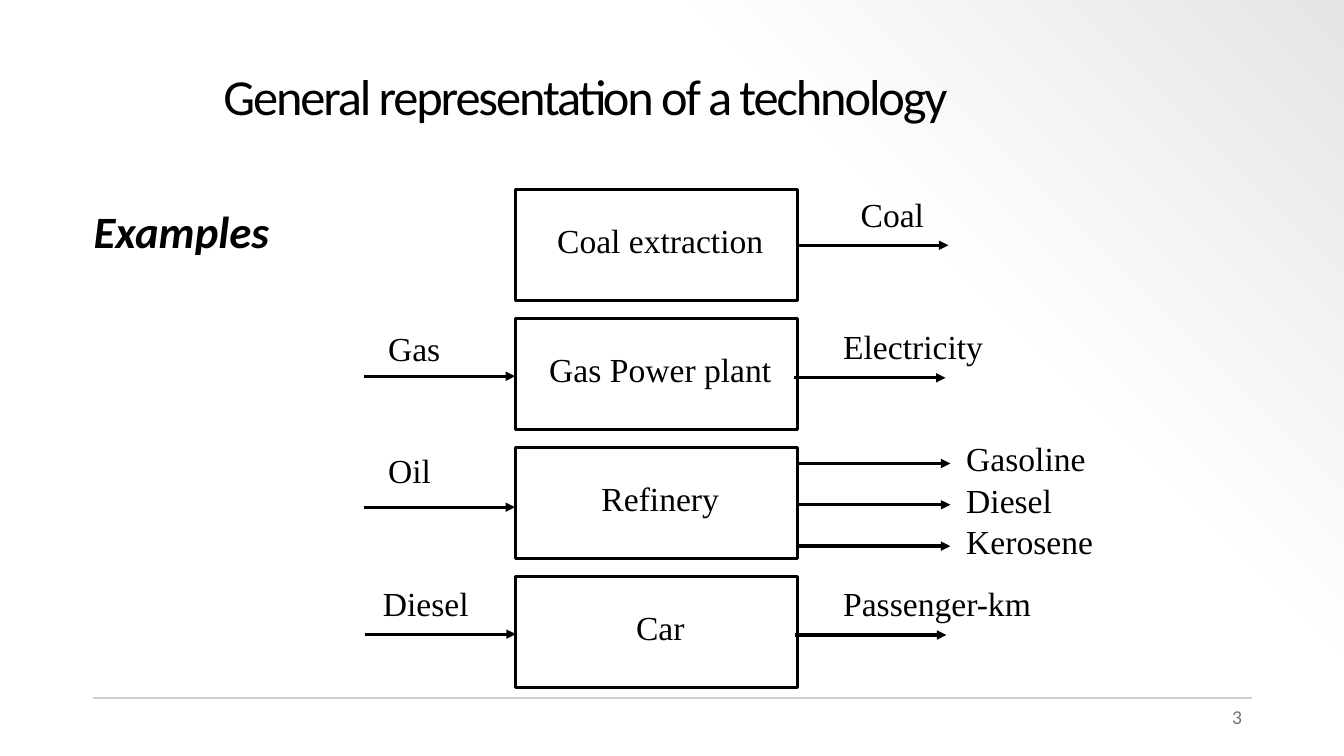
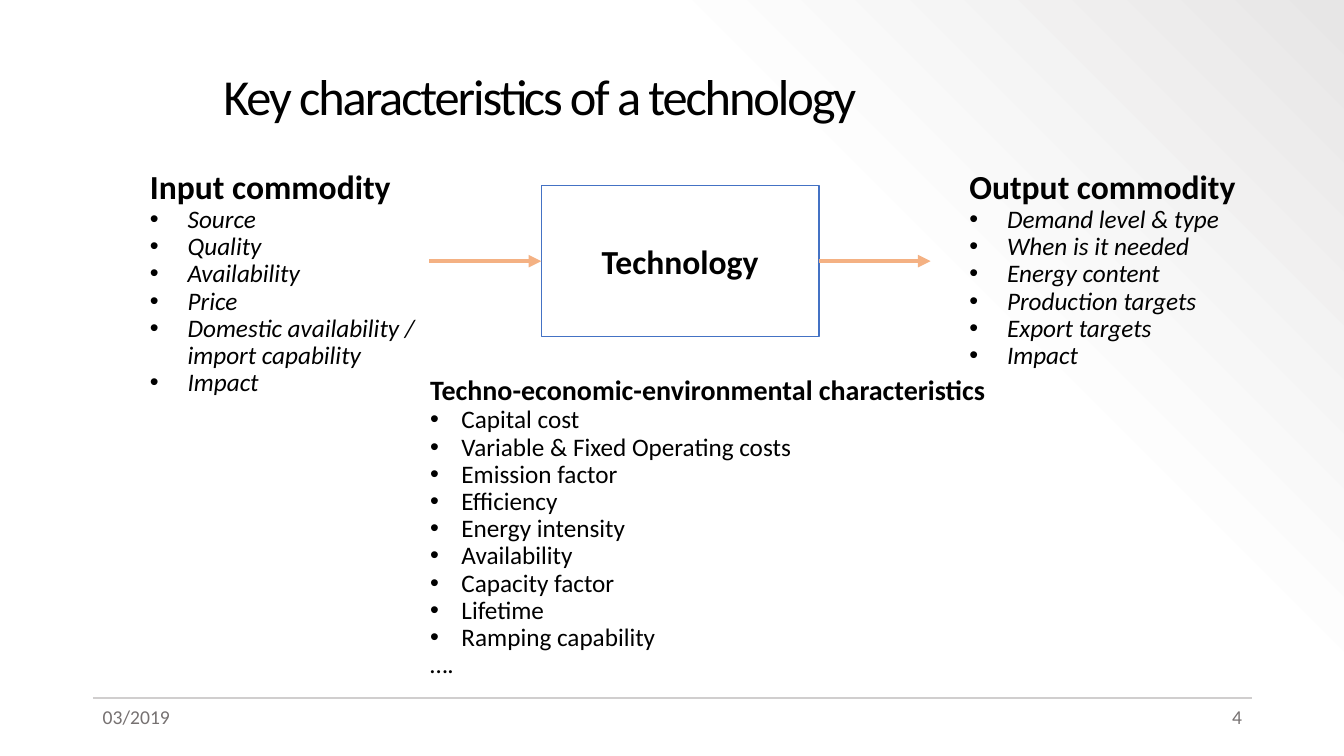
"""Build two slides on how a technology is represented and characterised."""
from dataclasses import dataclass, field
from typing import Any

from lxml import etree
from pptx import Presentation
from pptx import util as u
from pptx.dml import color as dml
from pptx.enum import shapes, text
from pptx.oxml import ns

COLOURS = {
    "ink": "000000", "muted": "767171", "rule": "D0CECE", "paper": "FFFFFF",
    "near_white": "FDFDFD", "corner": "E7E6E6", "outline": "4472C4", "flow": "F4B183",
}
SANS, SERIF = "Calibri", "Times New Roman"
TITLE = {"name": SANS, "size": u.Pt(36)}
EXAMPLES = {"name": SANS, "size": u.Pt(32), "bold": True, "italic": True}
HEADING = {"name": SANS, "size": u.Pt(24), "bold": True}
SUBHEADING = {"name": SANS, "size": u.Pt(20), "bold": True}
ITEM = {"name": SANS, "size": u.Pt(18)}
ITALIC_ITEM = {**ITEM, "italic": True}
LABEL = {"name": SERIF, "size": u.Pt(24)}
FOOTER = {"name": SANS, "size": u.Pt(14)}

BOX_LEFT, BOX_WIDTH, BOX_HEIGHT = 13, 7.1, 2.8
FIRST_ROW, ROW_STEP = 4.78, 3.25
ARROW_LENGTH = 3.81


@dataclass
class Area:
    """Position and size in centimetres."""
    left: float
    top: float
    width: float
    height: float

    def lengths(self) -> list[u.Cm]:
        """Return the four values as lengths."""
        return [u.Cm(value) for value in (self.left, self.top, self.width, self.height)]


@dataclass
class Flow:
    """A labelled arrow, placed relative to the top of its row."""
    label: str
    label_left: float
    label_rise: float
    arrow_left: float
    arrow_drop: float = 1.45
    label_width: float = 5.5


@dataclass
class Process:
    """A technology box with its flows."""
    name: str
    flows: list[Flow]


@dataclass
class Listing:
    """A heading over a bulleted list."""
    area: Area
    heading: str
    items: list[str]
    heading_format: dict[str, Any] = field(default_factory=lambda: HEADING)
    item_format: dict[str, Any] = field(default_factory=lambda: ITALIC_ITEM)
    indent: float = 0.95
    closing: str = ""


PROCESSES = [
    Process("Coal extraction", [Flow("Coal", 21.44, -0.03, 20.09, 1.4)]),
    Process("Gas Power plant", [
        Flow("Gas", 9.53, 0.1, 9.17, label_width=3.6),
        Flow("Electricity", 21, 0.05, 20.02, 1.49),
    ]),
    Process("Refinery", [
        Flow("Oil", 9.53, -0.08, 9.17, 1.5, 3.6),
        Flow("Gasoline", 24.1, -0.38, 20.14, 0.4),
        Flow("Diesel", 24.1, 0.7, 20.14, 1.44),
        Flow("Kerosene", 24.1, 1.72, 20.14, 2.48),
    ]),
    Process("Car", [
        Flow("Diesel", 9.4, 0.03, 9.19, label_width=3.6),
        Flow("Passenger-km", 21, 0.03, 20.04, 1.47),
    ]),
]

LISTINGS = [
    Listing(Area(24.18, 4.17, 8.92, 6.73), "Output commodity", [
        "Demand level & type", "When is it needed", "Energy content",
        "Production targets", "Export targets", "Impact",
    ]),
    Listing(Area(3.53, 4.17, 8.66, 6.02), "Input commodity", [
        "Source", "Quality", "Availability", "Price",
        "Domestic availability / import capability", "Impact",
    ]),
    Listing(Area(10.59, 9.37, 16.54, 8.64), "Techno-economic-environmental characteristics", [
        "Capital cost", "Variable & Fixed Operating costs", "Emission factor",
        "Efficiency", "Energy intensity", "Availability", "Capacity factor",
        "Lifetime", "Ramping capability",
    ], SUBHEADING, ITEM, 0.79, "…."),
]


def rgb(name: str) -> dml.RGBColor:
    """Look up a named colour."""
    return dml.RGBColor.from_string(COLOURS[name])


def apply(target: Any, formats: dict[str, Any]) -> None:
    """Set each format value on the target."""
    for name, value in formats.items():
        setattr(target, name, value)


def add_child(parent: Any, tag: str, **attributes: str) -> Any:
    """Append a drawing element to its parent."""
    return etree.SubElement(parent, ns.qn(tag), attributes)


def write(para: Any, words: str, formats: dict[str, Any], colour: str = "ink") -> Any:
    """Add one formatted run to a paragraph."""
    span = para.add_run()
    span.text = words
    apply(span.font, formats)
    span.font.color.rgb = rgb(colour)
    return span


def add_text(page: Any, area: Area, words: str, formats: dict[str, Any],
             colour: str = "ink", frame: dict[str, Any] | None = None,
             layout: dict[str, Any] | None = None) -> Any:
    """Add a wrapped text box and return its frame."""
    body = page.shapes.add_textbox(*area.lengths()).text_frame
    apply(body, {"word_wrap": True, **(frame or {})})
    para = body.paragraphs[0]
    apply(para, layout or {})
    write(para, words, formats, colour)
    return body


def add_line(page: Any, left: float, top: float, length: float, colour: str,
             weight: float, arrow: bool = True) -> None:
    """Draw a horizontal line, with an arrowhead at its right end if wanted."""
    line = page.shapes.add_connector(
        shapes.MSO_CONNECTOR.STRAIGHT, u.Cm(left), u.Cm(top), u.Cm(left + length), u.Cm(top))
    line.line.color.rgb = rgb(colour)
    line.line.width = u.Pt(weight)
    if arrow:
        add_child(line.line._get_or_add_ln(), "a:tailEnd", type="triangle")
    add_child(line._element.spPr, "a:effectLst")


def add_box(page: Any, area: Area, words: str, formats: dict[str, Any], outline: str,
            weight: float, margins: dict[str, Any] | None = None) -> Any:
    """Draw an outlined rectangle around centred text."""
    box = page.shapes.add_shape(shapes.MSO_SHAPE.RECTANGLE, *area.lengths())
    box.shadow.inherit = False
    box.line.color.rgb = rgb(outline)
    box.line.width = u.Pt(weight)
    box.fill.background()
    apply(box.text_frame, {"vertical_anchor": text.MSO_ANCHOR.MIDDLE, "word_wrap": True,
                           **(margins or {})})
    para = box.text_frame.paragraphs[0]
    para.alignment = text.PP_ALIGN.CENTER
    write(para, words, formats)
    return box


def paint_background(page: Any) -> None:
    """Fade the page from white to a grey upper right corner."""
    fill = page.background.fill
    fill.gradient()
    fill.gradient_angle = 45
    stops = page.element.xpath(".//a:gsLst")[0]
    stops.clear()
    for position, name, alpha in ((0, "paper", 100), (69, "near_white", 100), (100, "corner", 50)):
        stop = add_child(stops, "a:gs", pos=str(position * 1000))
        shade = add_child(stop, "a:srgbClr", val=COLOURS[name])
        if alpha < 100:
            add_child(shade, "a:alpha", val=str(alpha * 1000))


def add_page(deck: Any, title: str, number: int, date: str = "") -> Any:
    """Add a page with the shared background, title and footer."""
    page = deck.slides.add_slide(deck.slide_layouts[6])
    paint_background(page)
    add_line(page, 2.34, 17.58, 29.21, "rule", 1.5, arrow=False)
    add_text(page, Area(23.93, 17.65, 7.62, 1.02), str(number), FOOTER, "muted",
             layout={"alignment": text.PP_ALIGN.RIGHT})
    if date:
        add_text(page, Area(2.34, 17.65, 3.3, 1.02), date, FOOTER, "muted")
    body = add_text(page, Area(5.38, 0.94, 26.16, 3.1), title, TITLE,
                    frame={"vertical_anchor": text.MSO_ANCHOR.MIDDLE},
                    layout={"line_spacing": 0.9})
    body.paragraphs[0].runs[0].font._element.set("spc", "-150")
    return page


def add_process(page: Any, process: Process, top: float) -> None:
    """Draw one technology box with its arrows and labels."""
    margins = {"margin_left": u.Cm(0.43), "margin_bottom": u.Cm(0.37)}
    add_box(page, Area(BOX_LEFT, top, BOX_WIDTH, BOX_HEIGHT), process.name, LABEL,
            "ink", 2.25, margins)
    for flow in process.flows:
        add_line(page, flow.arrow_left, top + flow.arrow_drop, ARROW_LENGTH, "ink", 2.25)
        add_text(page, Area(flow.label_left, top + flow.label_rise, flow.label_width, 1.27),
                 flow.label, LABEL)


def add_listing(page: Any, listing: Listing) -> None:
    """Write a heading, its bullets and any closing line."""
    body = add_text(page, listing.area, listing.heading, listing.heading_format,
                    layout={"line_spacing": 0.9})
    for item in listing.items:
        para = body.add_paragraph()
        para.line_spacing = 0.9
        properties = para._p.get_or_add_pPr()
        indent = u.Cm(listing.indent)
        properties.set("marL", str(indent))
        properties.set("indent", str(-indent))
        add_child(properties, "a:buFont", typeface="Arial")
        add_child(properties, "a:buChar", char="•")
        write(para, item, listing.item_format)
    if listing.closing:
        para = body.add_paragraph()
        para.line_spacing = 0.9
        write(para, listing.closing, listing.item_format)


def build_examples(deck: Any) -> None:
    """Build the page of example technologies."""
    page = add_page(deck, "General representation of a technology", 3)
    add_text(page, Area(2.11, 4.06, 7.06, 3.68), "Examples", EXAMPLES,
             frame={"vertical_anchor": text.MSO_ANCHOR.MIDDLE}, layout={"line_spacing": 0.9})
    for row, process in enumerate(PROCESSES):
        add_process(page, process, FIRST_ROW + row * ROW_STEP)


def build_characteristics(deck: Any) -> None:
    """Build the page of key characteristics."""
    page = add_page(deck, "Key characteristics of a technology", 4, "03/2019")
    box = add_box(page, Area(13.64, 4.67, 7, 3.81), "Technology", HEADING, "outline", 1)
    box.fill.solid()
    box.fill.fore_color.rgb = rgb("paper")
    for left in (10.82, 20.63):
        add_line(page, left, 6.58, 2.82, "flow", 3)
    for listing in LISTINGS:
        add_listing(page, listing)


def main() -> None:
    """Build and save the deck."""
    deck = Presentation()
    deck.slide_width, deck.slide_height = u.Cm(33.87), u.Cm(19.05)
    build_examples(deck)
    build_characteristics(deck)
    deck.save("out.pptx")


if __name__ == "__main__":
    main()
